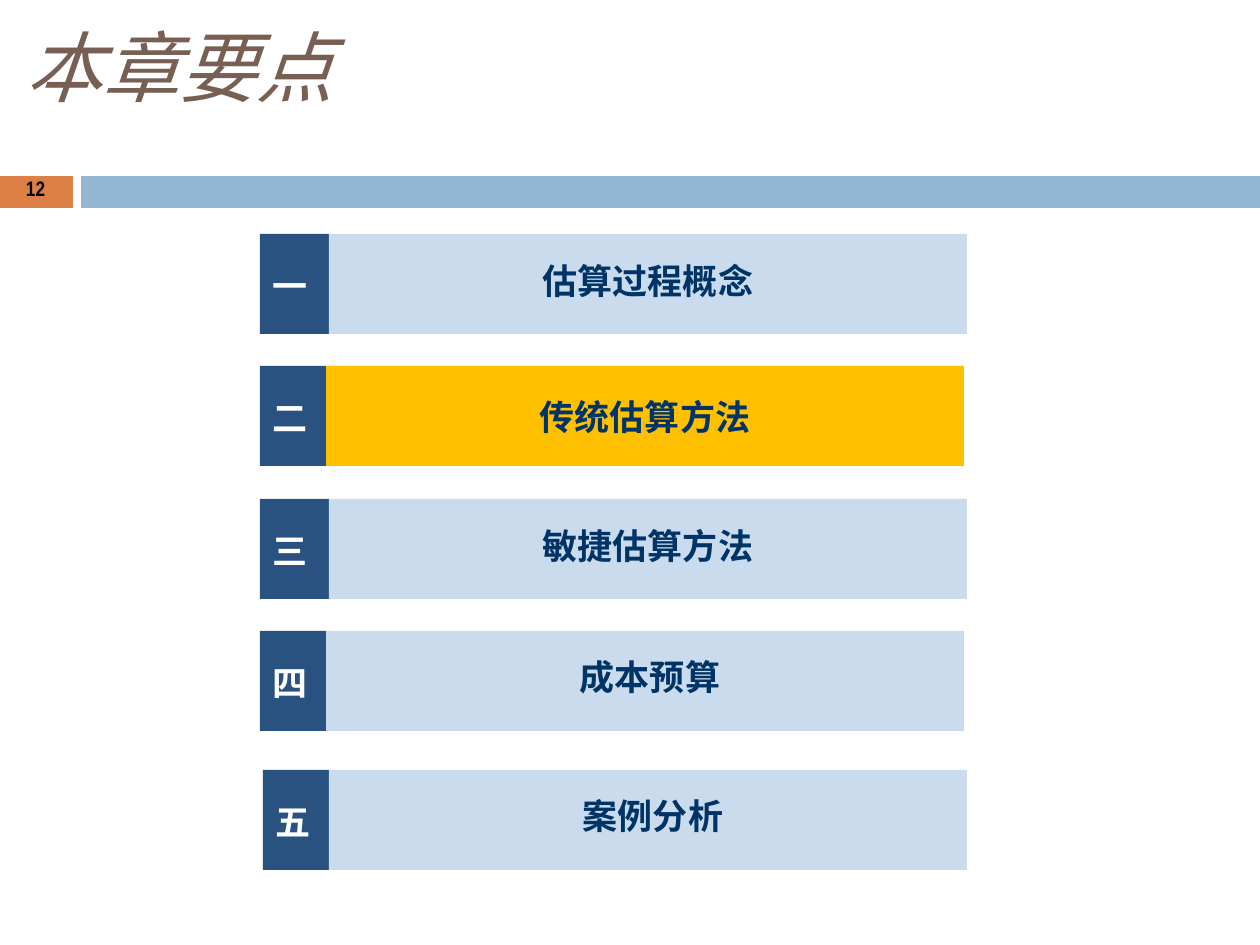
from pptx import Presentation
from pptx import util as u
from pptx.dml import color
from pptx.enum import shapes, text
from pptx.oxml import ns

EMU_PER_PX = 914400 / 126
CJK = "Noto Sans CJK SC"
LEFT, CENTER = text.PP_ALIGN.LEFT, text.PP_ALIGN.CENTER


def px(length):
    return u.Emu(round(length * EMU_PER_PX))


def rgb(value):
    return color.RGBColor.from_string(value)


class SlideBuilder:
    navy, ink, pale, gold = "2A5280", "003366", "C9DBED", "FFC000"

    def __init__(self, deck):
        self.page = deck.slides.add_slide(deck.slide_layouts[5])

    def set_text(self, shape, words, size, hue, top=1, indent=0, align=LEFT, font=CJK, **style):
        frame = shape.text_frame
        settings = dict(
            margin_left=0, margin_right=0, margin_bottom=0, margin_top=px(top),
            word_wrap=True, auto_size=text.MSO_AUTO_SIZE.NONE,
            vertical_anchor=text.MSO_ANCHOR.TOP,
        )
        for name, value in settings.items():
            setattr(frame, name, value)
        para = frame.paragraphs[0]
        para.alignment = align
        properties = para._p.get_or_add_pPr()
        properties.set("marL", str(px(indent)))
        properties.set("indent", "0")
        span = para.add_run()
        span.text = words
        for name, value in dict(name=font, size=u.Pt(size), **style).items():
            setattr(span.font, name, value)
        span.font.color.rgb = rgb(hue)
        east_asian = span._r.get_or_add_rPr().makeelement(ns.qn("a:ea"), {"typeface": font})
        span.font._element.find(ns.qn("a:latin")).addnext(east_asian)

    def title(self, left, top, width, height, words, size, hue):
        box = self.page.shapes.title
        for name, value in dict(left=left, top=top, width=width, height=height).items():
            setattr(box, name, px(value))
        self.set_text(box, words, size, hue, indent=1, italic=True, bold=False)

    def label(self, left, top, width, height, words, size, hue, **style):
        box = self.page.shapes.add_textbox(*map(px, (left, top, width, height)))
        self.set_text(box, words, size, hue, **style)

    def bar(self, left, top, width, height, fill):
        box = self.page.shapes.add_shape(
            shapes.MSO_SHAPE.RECTANGLE, *map(px, (left, top, width, height)))
        box.shadow.inherit = False
        box.fill.solid()
        box.fill.fore_color.rgb = rgb(fill)
        box.line.fill.background()
        return box

    def topic(self, left, split, top, number, words, inset, indent, fill):
        height = 100
        number_box = self.bar(left, top, split - left, height, self.navy)
        self.set_text(number_box, number, 20, "FFFFFF", top=31, indent=13, bold=True)
        topic_box = self.bar(split, top, 638, height, fill)
        self.set_text(topic_box, words, 20, self.ink, top=inset, indent=indent,
                      align=CENTER, bold=True)


def main():
    deck = Presentation()
    deck.slide_width, deck.slide_height = px(1260), px(945)
    slide = SlideBuilder(deck)
    slide.bar(0, 176, 73, 32, "DD8046")
    slide.bar(81, 176, 1179, 32, "93B6D2")
    slide.title(25, 19, 313, 96, "本章要点", 44, "775F54")
    slide.label(25, 175, 23, 29, "12", 12, "000000", indent=1, font="Arial Narrow", bold=True)

    topics = [
        (260, 329, 234, "一", "估算过程概念", 26, 0, slide.pale),
        (260, 326, 366, "二", "传统估算方法", 30, 0, slide.gold),
        (260, 329, 499, "三", "敏捷估算方法", 26, 0, slide.pale),
        (260, 326, 631, "四", "成本预算", 25, 10, slide.pale),
        (263, 329, 770, "五", "案例分析", 25, 10, slide.pale),
    ]
    for topic in topics:
        slide.topic(*topic)
    deck.save("out.pptx")


if __name__ == "__main__":
    main()
